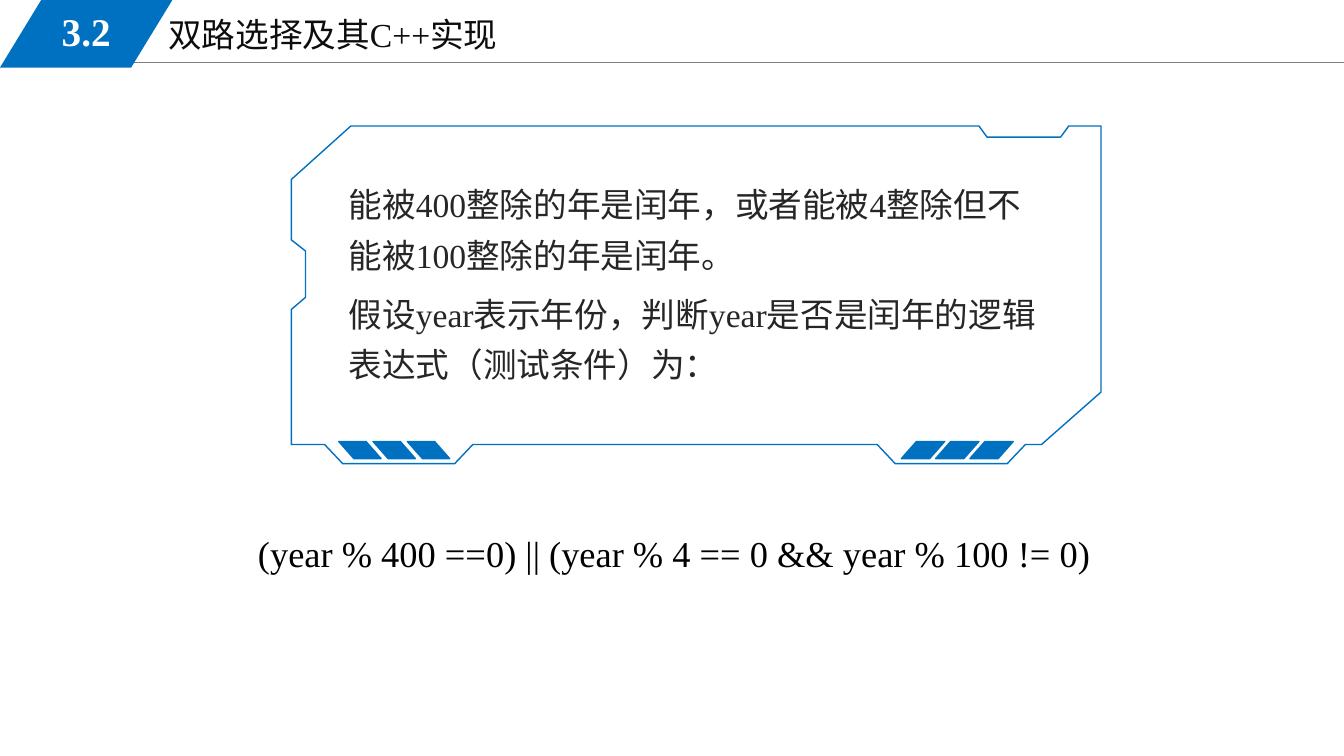
from dataclasses import dataclass

from lxml import etree
from pptx import Presentation
from pptx.dml.color import RGBColor
from pptx.enum.shapes import MSO_CONNECTOR, MSO_SHAPE
from pptx.enum.text import MSO_ANCHOR, MSO_AUTO_SIZE, PP_ALIGN
from pptx.oxml.ns import qn
from pptx.util import Emu, Pt

PX = 9144  # 100 px to the inch
STRAIGHT = MSO_CONNECTOR.STRAIGHT
PARALLELOGRAM = MSO_SHAPE.PARALLELOGRAM
GROW = MSO_AUTO_SIZE.SHAPE_TO_FIT_TEXT
TOP, MIDDLE = MSO_ANCHOR.TOP, MSO_ANCHOR.MIDDLE
LEFT, CENTER = PP_ALIGN.LEFT, PP_ALIGN.CENTER


@dataclass(frozen=True)
class Theme:
    font: str = "Times New Roman"
    blue: str = "0070C0"
    rule: str = "808080"
    title: str = "0D0D0D"
    body: str = "262626"
    formula: str = "000000"
    white: str = "FFFFFF"
    text_size: int = 24
    formula_size: int = 26
    number_size: int = 28
    thin: float = 0.75
    line: float = 1


@dataclass(frozen=True)
class Box:
    x: int
    y: int
    w: int
    h: int

    def emu(self) -> tuple:
        return tuple(Emu(v * PX) for v in (self.x, self.y, self.w, self.h))


@dataclass(frozen=True)
class Label:
    box: Box
    paragraphs: tuple
    size: int
    color: str
    bold: bool = False
    align: PP_ALIGN = LEFT
    anchor: MSO_ANCHOR = TOP
    side_inset: int = 10
    line_spacing: float = 1.0


@dataclass(frozen=True)
class Stripes:
    x: int
    width: int
    flipped: bool


THEME = Theme()


def rgb(color: str) -> RGBColor:
    return RGBColor.from_string(color)


def add_label(slide, label: Label) -> None:
    frame = slide.shapes.add_textbox(*label.box.emu()).text_frame
    frame_format = {
        "word_wrap": True,
        "auto_size": GROW,
        "vertical_anchor": label.anchor,
        "margin_left": Emu(label.side_inset * PX),
        "margin_right": Emu(label.side_inset * PX),
        "margin_top": Emu(5 * PX),
        "margin_bottom": Emu(5 * PX),
    }
    for name, value in frame_format.items():
        setattr(frame, name, value)
    font_format = {"name": THEME.font, "size": Pt(label.size), "bold": label.bold}
    for index, text in enumerate(label.paragraphs):
        paragraph = frame.add_paragraph() if index else frame.paragraphs[0]
        paragraph.alignment = label.align
        paragraph.line_spacing = label.line_spacing
        if index:
            paragraph.space_before = Pt(6)
        run = paragraph.add_run()
        run.text = text
        for name, value in font_format.items():
            setattr(run.font, name, value)
        run.font.color.rgb = rgb(label.color)


def add_slant(slide, box: Box, slant: float, outlined: bool, flipped: bool = False) -> None:
    slanted = slide.shapes.add_shape(PARALLELOGRAM, *box.emu())
    slanted.adjustments[0] = slant
    slanted.shadow.inherit = False
    slanted.fill.solid()
    slanted.fill.fore_color.rgb = rgb(THEME.blue)
    if outlined:
        slanted.line.color.rgb = rgb(THEME.blue)
        slanted.line.width = Pt(THEME.line)
    else:
        slanted.line.fill.background()
    if flipped:
        slanted._element.spPr.find(qn("a:xfrm")).set("flipH", "1")


def add_header_rule(slide) -> None:
    rule = slide.shapes.add_connector(STRAIGHT, *Box(113, 62, 1333, 62).emu())
    rule.line.color.rgb = rgb(THEME.rule)
    rule.line.width = Pt(THEME.thin)
    etree.SubElement(rule._element.spPr, qn("a:effectLst"))


def foot(x: int) -> list:
    """Corners of a bulge below the frame's bottom edge, left to right."""
    return [(x, 441), (x + 18, 460), (x + 129, 460), (x + 147, 441)]


def add_frame(slide) -> None:
    corners = [
        (289, 441), *foot(322), *foot(870),
        (1033, 441), (1092, 389), (1092, 125),
        (1060, 125), (1052, 136), (979, 136), (971, 125),  # top notch
        (348, 125), (289, 178),
        (289, 238), (303, 249), (303, 295), (289, 307),  # left notch
    ]
    builder = slide.shapes.build_freeform(*corners[0], scale=PX)
    builder.add_line_segments(corners[1:], close=True)
    frame = builder.convert_to_shape()
    frame.shadow.inherit = False
    frame.fill.background()
    frame.line.color.rgb = rgb(THEME.blue)
    frame.line.width = Pt(THEME.line)


SECTION_TITLE = Label(Box(156, 9, 567, 51), ("双路选择及其C++实现",),
                      THEME.text_size, THEME.title, side_inset=11)
SECTION_NUMBER = Label(Box(25, 2, 121, 58), ("3.2",), THEME.number_size, THEME.white,
                       bold=True, align=CENTER, anchor=MIDDLE, side_inset=11)
LEAP_YEAR_RULE = Label(
    Box(336, 168, 703, 220),
    ("能被400整除的年是闰年，或者能被4整除但不能被100整除的年是闰年。",
     "假设year表示年份，判断year是否是闰年的逻辑表达式（测试条件）为："),
    THEME.text_size, THEME.body, line_spacing=1.25)
LEAP_YEAR_TEST = Label(
    Box(246, 511, 968, 60),
    ("(year % 400 ==0) || (year % 4 == 0 && year % 100 != 0)",),
    THEME.formula_size, THEME.formula, line_spacing=1.25)
FOOT_STRIPES = (Stripes(894, 43, False), Stripes(336, 42, True))
STRIPE_PITCH = 34


def main() -> None:
    deck = Presentation()
    deck.slide_width, deck.slide_height = Emu(1333 * PX), Emu(750 * PX)
    slide = deck.slides.add_slide(deck.slide_layouts[6])

    # Header
    add_header_rule(slide)
    add_label(slide, SECTION_TITLE)
    add_slant(slide, Box(0, 0, 171, 67), 0.61, outlined=False)
    add_label(slide, SECTION_NUMBER)

    # Leap year rule and its test
    add_label(slide, LEAP_YEAR_RULE)
    add_label(slide, LEAP_YEAR_TEST)

    # Frame with striped feet
    add_frame(slide)
    for stripes in FOOT_STRIPES:
        for i in range(3):
            box = Box(stripes.x + i * STRIPE_PITCH, 438, stripes.width, 17)
            add_slant(slide, box, 0.88, outlined=True, flipped=stripes.flipped)

    deck.save("out.pptx")


if __name__ == "__main__":
    main()
